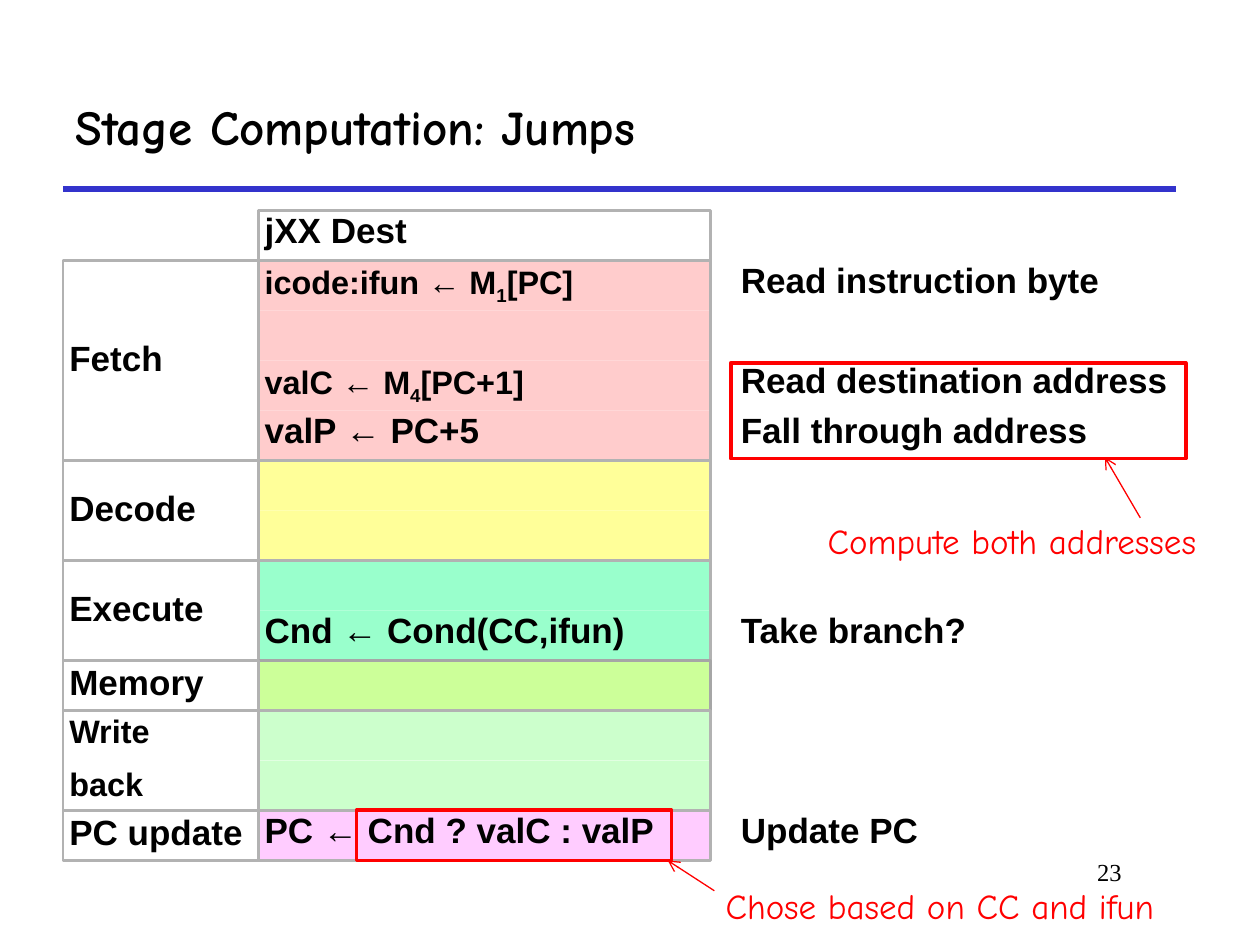
from pptx import Presentation
from pptx import util as u
from pptx.dml.color import RGBColor
from pptx.enum import shapes, text
from pptx.oxml.ns import qn
from lxml import etree

COLORS = {
    "ink": "000000", "rule": "3333CC", "grid": "B2B2B2", "memory_grid": "A6A6A6",
    "note": "FF0000", "paper": "FFFFFF", "fetch": "FFCCCC", "decode": "FFFF99",
    "execute": "99FFCC", "memory": "CCFF99", "write": "CCFFCC", "update": "FFCCFF",
}

# Grid: 13 equal rows, three columns
TOP, ROW = 1.67, (6.83 - 1.67) / 13
STAGE_LEFT, STAGE_WIDTH = 0.5, 1.55
STEP_LEFT, STEP_WIDTH = 2.05, 3.59
REMARK_LEFT = 5.83

# Stage label, fill, label format, steps as (text, size, remark)
STAGES = [
    ("Fetch", "fetch", dict(spacing=0.9), [
        ("icode:ifun ← M_1_[PC]", 18.5, "Read instruction byte"),
        ("", 20, ""),
        ("valC ← M_4_[PC+1]", 18.5, "Read destination address"),
        ("valP ← PC+5", 20, "Fall through address")]),
    ("Decode", "decode", dict(spacing=0.9), [("", 20, ""), ("", 20, "")]),
    ("Execute", "execute", dict(spacing=0.9), [
        ("", 20, ""), ("Cnd ← Cond(CC,ifun)", 20, "Take branch?")]),
    ("Memory", "memory", {}, [("", 20, "")]),
    ("Write\nback", "write", dict(size=18.5), [("", 20, ""), ("", 20, "")]),
    ("PC update", "update", {}, [("PC ← Cnd ? valC : valP", 20, "Update PC")]),
]


def color(name):
    return RGBColor.from_string(COLORS[name])


def write(box, content, size=20, font="Arial", ink="ink", bold=True, spacing=0.8,
          align="LEFT", anchor="TOP", side=0.05, wrap=True):
    """Fill a box with text; newlines part paragraphs, underscores enclose subscripts."""
    frame = box.text_frame
    frame.word_wrap = wrap
    frame.vertical_anchor = text.MSO_ANCHOR[anchor]
    frame.margin_left = frame.margin_right = u.Inches(side)
    frame.margin_top = frame.margin_bottom = u.Inches(0.05)
    for number, line in enumerate(content.split("\n")):
        para = frame.add_paragraph() if number else frame.paragraphs[0]
        para.alignment = text.PP_ALIGN[align]
        para.line_spacing = spacing
        para.space_before = u.Pt(12.5 if number else 0)
        for index, piece in enumerate(line.split("_")):
            span = para.add_run()
            span.text = piece
            span.font.size = u.Pt(size)
            span.font.name = font
            span.font.bold = bold
            span.font.color.rgb = color(ink)
            if index % 2:
                span.font._element.set("baseline", "-25000")


class Painter:
    """Holds the current slide and its style."""

    def __init__(self, slide):
        self.slide = slide

    def text_box(self, left, top, width, height, content, **style):
        box = self.slide.shapes.add_textbox(*map(u.Inches, (left, top, width, height)))
        write(box, content, **style)

    def rect(self, left, top, width, height, fill=None, line=None, weight=1.5,
             content="", **style):
        box = self.slide.shapes.add_shape(
            shapes.MSO_SHAPE.RECTANGLE, *map(u.Inches, (left, top, width, height)))
        box.shadow.inherit = False
        if fill:
            box.fill.solid()
            box.fill.fore_color.rgb = color(fill)
        else:
            box.fill.background()
        if line:
            box.line.color.rgb = color(line)
            box.line.width = u.Pt(weight)
        else:
            box.line.fill.background()
        if content:
            write(box, content, **style)

    def line(self, start, end, ink, weight, arrow=False):
        connector = self.slide.shapes.add_connector(
            shapes.MSO_CONNECTOR.STRAIGHT, *map(u.Inches, start + end))
        connector.line.color.rgb = color(ink)
        connector.line.width = u.Pt(weight)
        if arrow:
            etree.SubElement(connector.line._get_or_add_ln(), qn("a:tailEnd"), type="arrow")
        etree.SubElement(connector._element.spPr, qn("a:effectLst"))

    def stage(self, first, label, fill, label_style, steps):
        top, height = TOP + first * ROW, len(steps) * ROW
        for offset, (content, size, remark) in enumerate(steps):
            step_top = top + offset * ROW
            self.rect(STEP_LEFT, step_top, STEP_WIDTH, ROW, fill, content=content, size=size)
            if remark:
                self.text_box(REMARK_LEFT, step_top, STEP_WIDTH, ROW, remark)
        outline = "memory_grid" if fill == "memory" else "grid"
        self.rect(STEP_LEFT, top, STEP_WIDTH, height, line=outline)
        self.rect(STAGE_LEFT, top, STAGE_WIDTH, height, line="grid",
                  content=label, anchor="MIDDLE", **label_style)

    def note(self, left, top, width, content, frame, arrow):
        self.rect(left, top, width, 0.4, "paper", content=content, font="Comic Neue",
                  ink="note", bold=False, spacing=0.9, side=0.1, wrap=False)
        self.rect(*frame, line="note", weight=2.25)
        self.line(*arrow, "note", 0.75, arrow=True)


def main():
    deck = Presentation()
    deck.slide_width, deck.slide_height = u.Inches(10), u.Inches(7.5)
    page = Painter(deck.slides.add_slide(deck.slide_layouts[6]))

    # Title, rule and page number
    page.line((0.5, 1.5), (9.33, 1.5), "rule", 3)
    page.text_box(7.58, 6.75, 1.42, 0.5, "23", size=14, font="Times New Roman",
                  bold=False, spacing=1, align="RIGHT", side=0.1)
    page.text_box(0.5, 0.5, 8.83, 1, "Stage Computation: Jumps", size=28,
                  font="Comic Neue", spacing=1, anchor="MIDDLE", side=0.1)

    # Stage grid
    page.rect(STEP_LEFT, TOP, STEP_WIDTH, ROW, line="grid", content="jXX Dest")
    first = 1
    for label, fill, label_style, steps in STAGES:
        page.stage(first, label, fill, label_style, steps)
        first += len(steps)

    # Red notes
    page.note(6.47, 4.11, 3.14, "Compute both addresses",
              (5.8, 2.88, 3.61, 0.76), ((9.05, 4.11), (8.77, 3.63)))
    page.note(5.66, 7.01, 3.61, "Chose based on CC and ifun",
              (2.83, 6.43, 2.5, 0.4), ((5.67, 7.07), (5.3, 6.83)))

    deck.save("out.pptx")


if __name__ == "__main__":
    main()
